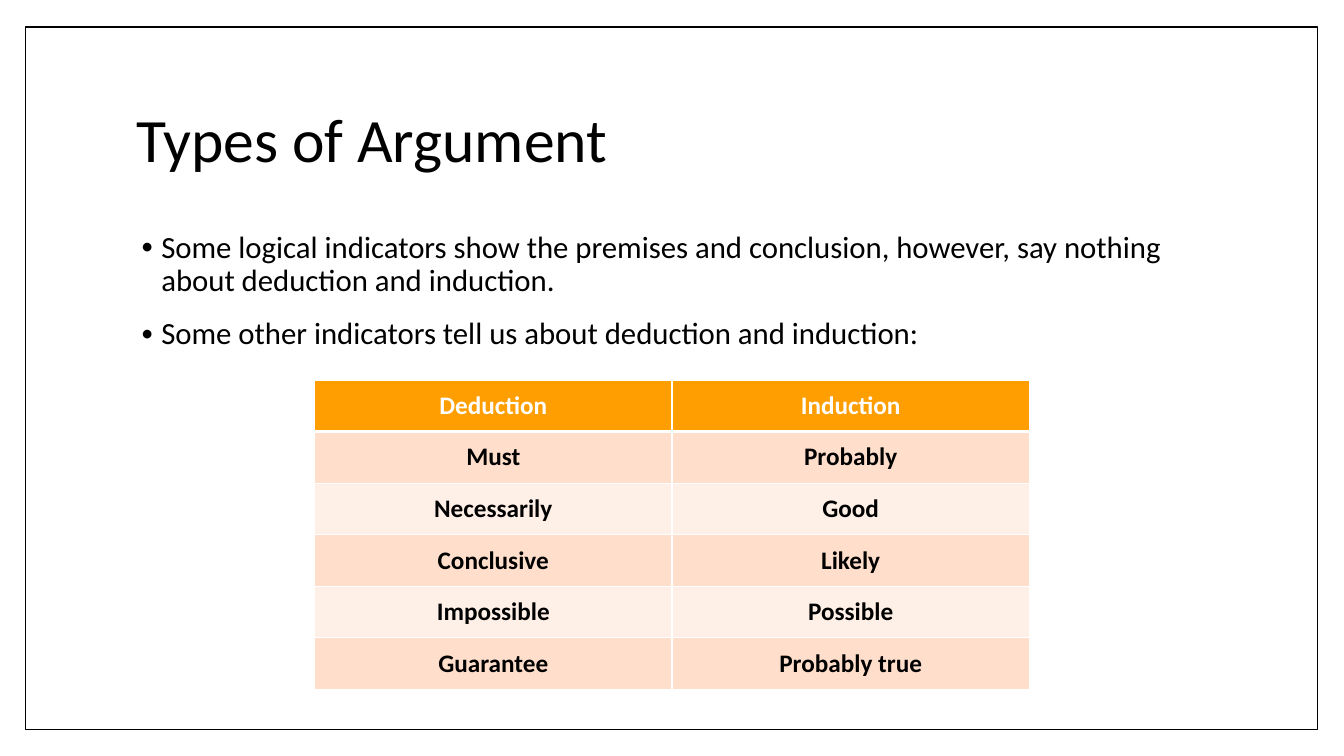
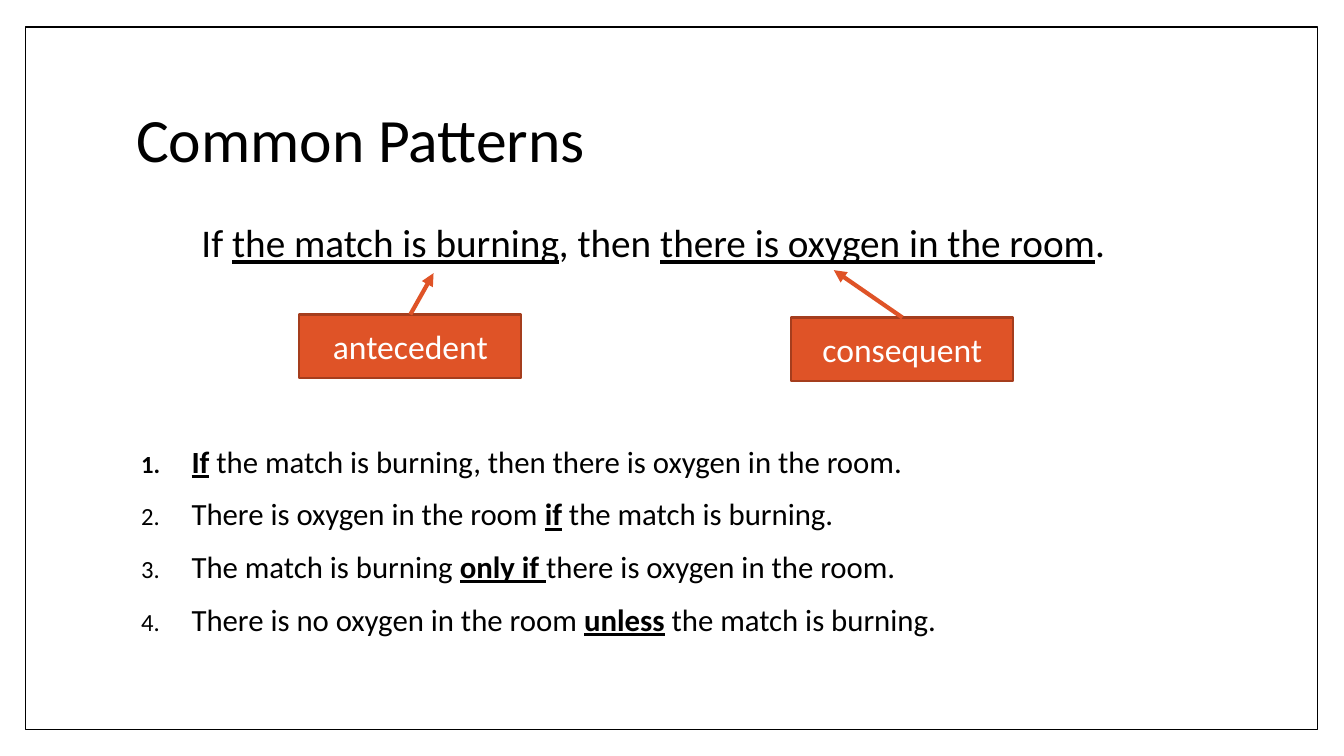
from dataclasses import dataclass

from lxml import etree
from pptx import Presentation
from pptx.dml.color import RGBColor
from pptx.enum.shapes import MSO_CONNECTOR, MSO_SHAPE
from pptx.enum.text import MSO_ANCHOR, MSO_AUTO_SIZE, PP_ALIGN
from pptx.oxml.ns import qn
from pptx.util import Emu, Pt

RECT = MSO_SHAPE.RECTANGLE
STRAIGHT = MSO_CONNECTOR.STRAIGHT
LEFT, CENTER = PP_ALIGN.LEFT, PP_ALIGN.CENTER
TOP, MIDDLE = MSO_ANCHOR.TOP, MSO_ANCHOR.MIDDLE
NO_FIT = MSO_AUTO_SIZE.NONE
UNIT = 9144  # EMU in one px, 100 px to the inch


# Theme
@dataclass(frozen=True)
class Theme:
    font: str = "Calibri"
    ink: str = "000000"
    paper: str = "FFFFFF"
    head: str = "FE9E00"
    bands: tuple[str, str] = ("FFDFCC", "FFF0E7")
    accent: str = "DF5327"
    edge: str = "A53D1D"
    title: int = 44
    lead: int = 28
    label: int = 24
    body: int = 22
    cell: int = 18


@dataclass(frozen=True)
class Box:
    x: int
    y: int
    w: int
    h: int


@dataclass(frozen=True)
class Part:
    text: str
    bold: bool = False
    under: bool = False


@dataclass(frozen=True)
class Mark:
    """A bullet or number with its text indent and hanging offset."""
    tag: str
    key: str
    value: str
    margin: int
    hang: int


@dataclass(frozen=True)
class Label:
    text: str
    box: Box
    tip: tuple[int, int]


THEME = Theme()
FRAME = Box(25, 27, 1282, 697)
TITLE = Box(125, 67, 1080, 148)
BODY = Box(125, 225, 1080, 442)
DOT = Mark("a:buChar", "char", "•", 25, -20)
NUMBER = Mark("a:buAutoNum", "type", "arabicPeriod", 55, -50)

# Slide content
POINTS = [
    [Part("Some logical indicators show the premises and conclusion, "
          "however, say nothing about deduction and induction.")],
    [Part("Some other indicators tell us about deduction and induction:")],
]
WORDS = [
    ("Deduction", "Induction"),
    ("Must", "Probably"),
    ("Necessarily", "Good"),
    ("Conclusive", "Likely"),
    ("Impossible", "Possible"),
    ("Guarantee", "Probably true"),
]
LEAD = [
    Part("If "), Part("the match is burning", under=True), Part(", then "),
    Part("there is oxygen in the room", under=True), Part("."),
]
FORMS = [
    [Part("If", True, True),
     Part(" the match is burning, then there is oxygen in the room.")],
    [Part("There is oxygen in the room "), Part("if", True, True),
     Part(" the match is burning.")],
    [Part("The match is burning "), Part("only if ", True, True),
     Part("there is oxygen in the room.")],
    [Part("There is no oxygen in the room "), Part("unless", True, True),
     Part(" the match is burning.")],
]
LABELS = [
    Label("antecedent", Box(297, 312, 220, 63), (430, 271)),
    Label("consequent", Box(785, 315, 220, 63), (827, 268)),
]


# Helpers
def px(size: int) -> Emu:
    return Emu(size * UNIT)


def area(box: Box) -> tuple[Emu, Emu, Emu, Emu]:
    return px(box.x), px(box.y), px(box.w), px(box.h)


def place(shape, box: Box) -> None:
    shape.left, shape.top, shape.width, shape.height = area(box)


def tint(text: str) -> RGBColor:
    return RGBColor.from_string(text)


def style(run, size: int, color: str, bold: bool = False,
          under: bool = False) -> None:
    font = run.font
    font.name, font.size = THEME.font, Pt(size)
    font.bold, font.underline = bold, under
    font.color.rgb = tint(color)


def write(para, parts: list[Part], size: int) -> None:
    for part in parts:
        run = para.add_run()
        run.text = part.text
        style(run, size, THEME.ink, part.bold, part.under)


def panel(slide, box: Box, fill: str, line: str, width: float):
    shape = slide.shapes.add_shape(RECT, *area(box))
    shape.shadow.inherit = False
    shape.fill.solid()
    shape.fill.fore_color.rgb = tint(fill)
    shape.line.color.rgb = tint(line)
    shape.line.width = Pt(width)
    return shape


# Shared look
def add_frame(deck, slide) -> None:
    """Draw the page frame and move it behind all else on the master."""
    node = panel(slide, FRAME, THEME.paper, THEME.ink, 1).element
    node.nvSpPr.cNvPr.set("id", "20")
    deck.slide_master.shapes.element.insert(2, node)


def set_title(slide, text: str) -> None:
    frame = slide.shapes.title.text_frame
    frame.text = text
    frame.auto_size, frame.vertical_anchor = NO_FIT, MIDDLE
    para = frame.paragraphs[0]
    para.alignment, para.line_spacing = LEFT, 0.9
    style(para.runs[0], THEME.title, THEME.ink)


def add_mark(para, mark: Mark) -> None:
    props = para._p.get_or_add_pPr()
    props.set("marL", str(px(mark.margin)))
    props.set("indent", str(px(mark.hang)))
    color = etree.SubElement(props, qn("a:buClr"))
    etree.SubElement(color, qn("a:srgbClr"), val=THEME.ink)
    etree.SubElement(props, qn("a:buSzPct"), val="80000")
    etree.SubElement(props, qn("a:buFont"), typeface=THEME.font)
    etree.SubElement(props, qn(mark.tag), {mark.key: mark.value})


def set_list(slide, rows: list[list[Part]], mark: Mark) -> None:
    frame = slide.placeholders[1].text_frame
    frame.auto_size, frame.vertical_anchor = NO_FIT, TOP
    for i, parts in enumerate(rows):
        para = frame.add_paragraph() if i else frame.paragraphs[0]
        para.line_spacing, para.space_before = 0.9, Pt(14)
        add_mark(para, mark)
        write(para, parts, THEME.body)


# Table
def set_edge(cell, top: int, base: int) -> None:
    props = cell._tc.get_or_add_tcPr()
    sides = (("L", 1), ("R", 1), ("T", top), ("B", base))
    for i, (side, width) in enumerate(sides):
        line = etree.Element(qn(f"a:ln{side}"), w=str(Pt(width)))
        fill = etree.SubElement(line, qn("a:solidFill"))
        etree.SubElement(fill, qn("a:srgbClr"), val=THEME.paper)
        props.insert(i, line)


def add_grid(slide, box: Box) -> None:
    grid = slide.shapes.add_table(len(WORDS), len(WORDS[0]), *area(box)).table
    for r, words in enumerate(WORDS):
        for c, word in enumerate(words):
            cell = grid.cell(r, c)
            cell.text = word
            cell.vertical_anchor = MIDDLE
            cell.fill.solid()
            fill = THEME.bands[(r - 1) % 2] if r else THEME.head
            cell.fill.fore_color.rgb = tint(fill)
            set_edge(cell, 3 if r == 1 else 1, 1 if r else 3)
            para = cell.text_frame.paragraphs[0]
            para.alignment = CENTER
            color = THEME.ink if r else THEME.paper
            style(para.runs[0], THEME.cell, color, bold=True)


# Sentence and its labels
def add_lead(slide, box: Box) -> None:
    frame = slide.shapes.add_textbox(*area(box)).text_frame
    frame.word_wrap = True
    write(frame.paragraphs[0], LEAD, THEME.lead)


def add_label(slide, label: Label) -> None:
    box = label.box
    shape = panel(slide, box, THEME.accent, THEME.edge, 1.5)
    frame = shape.text_frame
    frame.text = label.text
    frame.vertical_anchor = MIDDLE
    para = frame.paragraphs[0]
    para.alignment = CENTER
    style(para.runs[0], THEME.label, THEME.paper)

    x, y = label.tip
    arrow = slide.shapes.add_connector(
        STRAIGHT, px(box.x + box.w // 2), px(box.y), px(x), px(y))
    arrow.begin_connect(shape, 0)
    arrow.line.color.rgb = tint(THEME.accent)
    arrow.line.width = Pt(3)
    etree.SubElement(arrow.line._get_or_add_ln(), qn("a:tailEnd"),
                     type="triangle")
    etree.SubElement(arrow.element.spPr, qn("a:effectLst"))


# Slides
def add_types(deck, layout) -> None:
    slide = deck.slides.add_slide(layout)
    add_frame(deck, slide)
    set_title(slide, "Types of Argument")
    set_list(slide, POINTS, DOT)
    add_grid(slide, Box(312, 377, 709, 307))


def add_forms(deck, layout) -> None:
    slide = deck.slides.add_slide(layout)
    set_title(slide, "Common Patterns")
    place(slide.placeholders[1], Box(125, 438, 1080, 229))
    set_list(slide, FORMS, NUMBER)
    add_lead(slide, Box(190, 212, 953, 57))
    for label in LABELS:
        add_label(slide, label)


def main() -> None:
    deck = Presentation()
    deck.slide_width, deck.slide_height = px(1333), px(750)
    layout = deck.slide_layouts[1]
    for holder, box in zip(layout.placeholders, (TITLE, BODY)):
        place(holder, box)
    add_types(deck, layout)
    add_forms(deck, layout)
    deck.save("out.pptx")


if __name__ == "__main__":
    main()
